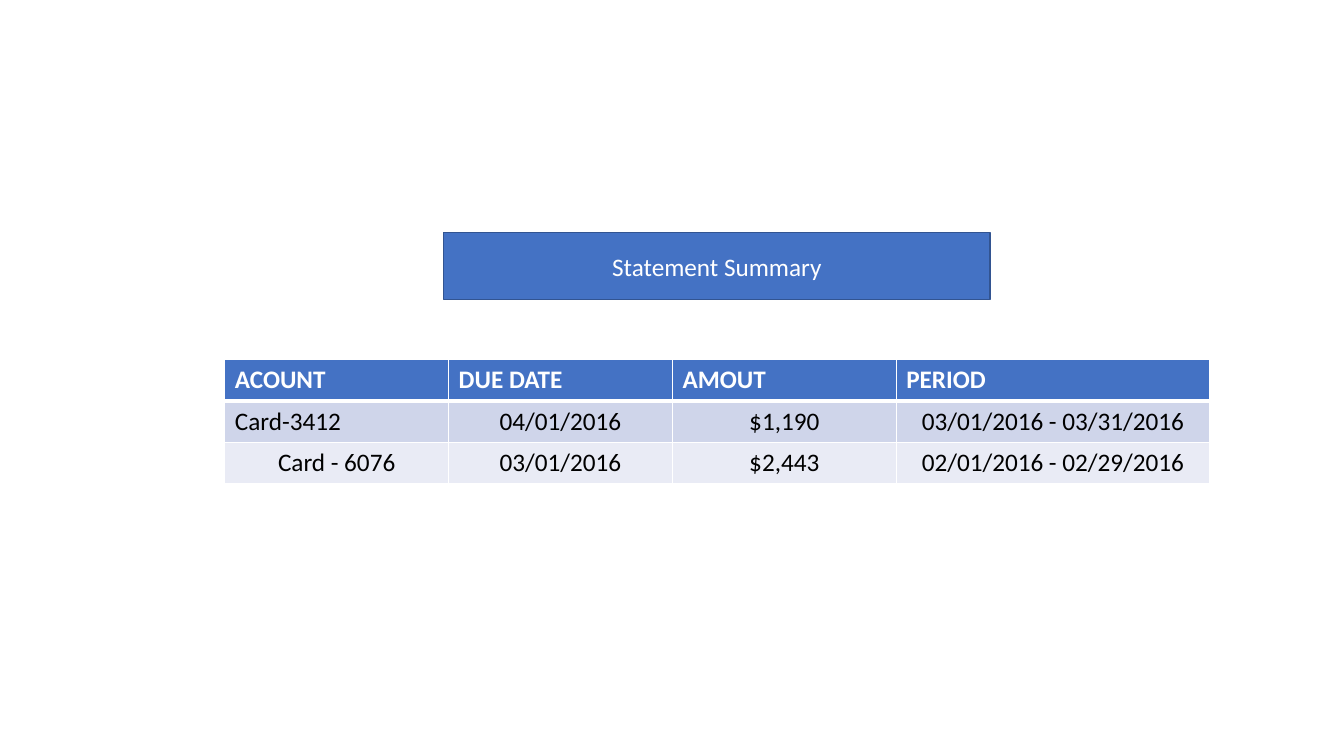
"""Build a statement summary slide with a title box and a table."""
from lxml import etree
from pptx import Presentation
from pptx import util as u
from pptx.dml.color import RGBColor
from pptx.enum import shapes, text
from pptx.oxml.ns import qn

TITLE = "Statement Summary"
ROWS = [
    ("ACOUNT", "DUE DATE", "AMOUT", "PERIOD"),
    ("Card-3412", "04/01/2016", "$1,190", "03/01/2016 - 03/31/2016"),
    ("Card - 6076", "03/01/2016", "$2,443", "02/01/2016 - 02/29/2016"),
]
LEFT_ALIGNED = {*ROWS[0], "Card-3412"}
ROW_FILLS = ("4472C4", "CFD5EA", "E9EBF5")
COL_WIDTHS = (2.22, 2.22, 2.22, 3.11)
ROW_HEIGHT = 0.41
TABLE_LEFT, TABLE_TOP = 2.23, 3.57
TITLE_BOX = (4.4, 2.31, 5.42, 0.66)
BODY_FONT = {"name": "Calibri", "size": u.Pt(18), "bold": False}
HEAD_FONT = {**BODY_FONT, "bold": True}


def paint(color_format, value):
    color_format.rgb = RGBColor.from_string(value)


def fill(target, value):
    target.fill.solid()
    paint(target.fill.fore_color, value)


def write(tf, words, font, color, align):
    p = tf.paragraphs[0]
    p.alignment = align
    r = p.add_run()
    r.text = words
    for key, value in font.items():
        setattr(r.font, key, value)
    paint(r.font.color, color)


def border(cell, widths):
    tc_pr = cell._tc.get_or_add_tcPr()
    for i, (side, width) in enumerate(widths.items()):
        ln = etree.Element(qn(f"a:ln{side}"), w=str(u.Pt(width)))
        solid = etree.SubElement(ln, qn("a:solidFill"))
        etree.SubElement(solid, qn("a:srgbClr"), val="FFFFFF")
        tc_pr.insert(i, ln)


def add_statements(s):
    size = (sum(COL_WIDTHS), ROW_HEIGHT * len(ROWS))
    table = s.shapes.add_table(
        len(ROWS), len(COL_WIDTHS),
        *map(u.Inches, (TABLE_LEFT, TABLE_TOP, *size))).table
    for col, width in zip(table.columns, COL_WIDTHS):
        col.width = u.Inches(width)
    for i, row in enumerate(ROWS):
        table.rows[i].height = u.Inches(ROW_HEIGHT)
        font, color = (BODY_FONT, "000000") if i else (HEAD_FONT, "FFFFFF")
        widths = {"L": 1, "R": 1, "T": 3 if i == 1 else 1, "B": 1 if i else 3}
        for j, words in enumerate(row):
            cell = table.cell(i, j)
            left = words in LEFT_ALIGNED
            align = text.PP_ALIGN.LEFT if left else text.PP_ALIGN.CENTER
            cell.vertical_anchor = text.MSO_ANCHOR.TOP if left else text.MSO_ANCHOR.MIDDLE
            fill(cell, ROW_FILLS[i])
            border(cell, widths)
            write(cell.text_frame, words, font, color, align)


def add_title(s):
    sp = s.shapes.add_shape(shapes.MSO_SHAPE.RECTANGLE, *map(u.Inches, TITLE_BOX))
    sp.shadow.inherit = False
    fill(sp, "4472C4")
    paint(sp.line.color, "325491")
    sp.line.width = u.Pt(1)
    tf = sp.text_frame
    tf.word_wrap = True
    tf.vertical_anchor = text.MSO_ANCHOR.MIDDLE
    write(tf, TITLE, BODY_FONT, "FFFFFF", text.PP_ALIGN.CENTER)


def main():
    prs = Presentation()
    prs.slide_width, prs.slide_height = u.Inches(13.33), u.Inches(7.5)
    s = prs.slides.add_slide(prs.slide_layouts[6])
    add_statements(s)
    add_title(s)
    prs.save("out.pptx")


if __name__ == "__main__":
    main()
